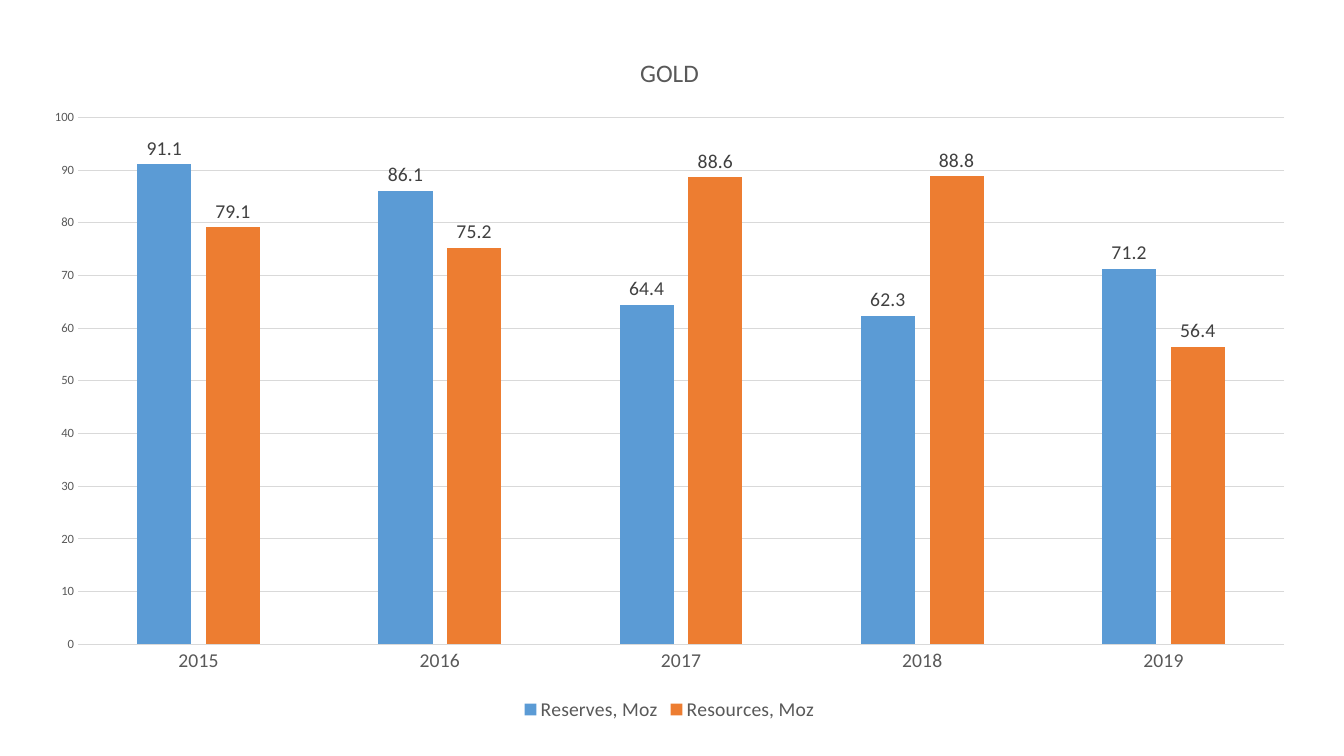
from pptx import Presentation
from pptx.chart.data import CategoryChartData
from pptx.dml.color import RGBColor
from pptx.enum.chart import XL_CHART_TYPE, XL_LABEL_POSITION, XL_LEGEND_POSITION, XL_TICK_MARK
from pptx.util import Inches, Pt

BLUE = RGBColor(0x5B, 0x9B, 0xD5)
ORANGE = RGBColor(0xED, 0x7D, 0x31)
BLACK = RGBColor(0x00, 0x00, 0x00)
GREY = RGBColor(0x59, 0x59, 0x59)
DARK_GREY = RGBColor(0x40, 0x40, 0x40)
LIGHT_GREY = RGBColor(0xD9, 0xD9, 0xD9)

YEARS = ["2015", "2016", "2017", "2018", "2019"]
GOLD = [
    ("Reserves, Moz", [91.1, 86.1, 64.4, 62.3, 71.2], BLUE),
    ("Resources, Moz", [79.1, 75.2, 88.6, 88.8, 56.4], ORANGE),
]


class ChartSlide:
    font_name = "Calibri"

    def __init__(self, prs):
        self.slide = prs.slides.add_slide(prs.slide_layouts[6])

    def style_font(self, font, size, color=GREY):
        font.name = self.font_name
        font.size = Pt(size)
        font.bold = False
        font.color.rgb = color

    def style_line(self, line):
        line.color.rgb = LIGHT_GREY
        line.width = Pt(0.75)

    def add_columns(self, left, top, width, height, categories, series):
        data = CategoryChartData(number_format="General")
        data.categories = categories
        for name, values, _ in series:
            data.add_series(name, values)
        chart = self.slide.shapes.add_chart(
            XL_CHART_TYPE.COLUMN_CLUSTERED,
            Inches(left), Inches(top), Inches(width), Inches(height), data,
        ).chart
        self.style_font(chart.font, 10, BLACK)
        plot = chart.plots[0]
        plot.vary_by_categories = False
        plot.gap_width = 219
        plot.overlap = -27
        for column, (_, _, color) in zip(plot.series, series):
            column.invert_if_negative = False
            column.format.fill.solid()
            column.format.fill.fore_color.rgb = color
            labels = column.data_labels
            labels.show_value = True
            labels.position = XL_LABEL_POSITION.OUTSIDE_END
            self.style_font(labels.font, 14, DARK_GREY)
        return chart

    def add_title(self, chart, text):
        chart.has_title = True
        chart.chart_title.include_in_layout = False
        p = chart.chart_title.text_frame.paragraphs[0]
        r = p.add_run()
        r.text = text
        self.style_font(r.font, 18)

    def add_legend(self, chart):
        chart.has_legend = True
        chart.legend.position = XL_LEGEND_POSITION.BOTTOM
        chart.legend.include_in_layout = False
        self.style_font(chart.legend.font, 14)

    def format_axes(self, chart):
        for axis, size in ((chart.category_axis, 14), (chart.value_axis, 9)):
            axis.major_tick_mark = XL_TICK_MARK.NONE
            axis.minor_tick_mark = XL_TICK_MARK.NONE
            self.style_font(axis.tick_labels.font, size)
        self.style_line(chart.category_axis.format.line)
        values = chart.value_axis
        values.minimum_scale = 0
        values.maximum_scale = 100
        values.major_unit = 10
        values.format.line.fill.background()
        values.has_major_gridlines = True
        self.style_line(values.major_gridlines.format.line)


def main():
    prs = Presentation()
    prs.slide_width = Inches(13.33)
    prs.slide_height = Inches(7.5)
    s = ChartSlide(prs)
    chart = s.add_columns(0.29, 0.31, 12.7, 6.89, YEARS, GOLD)
    s.add_title(chart, "GOLD")
    s.add_legend(chart)
    s.format_axes(chart)
    prs.save("out.pptx")


if __name__ == "__main__":
    main()
